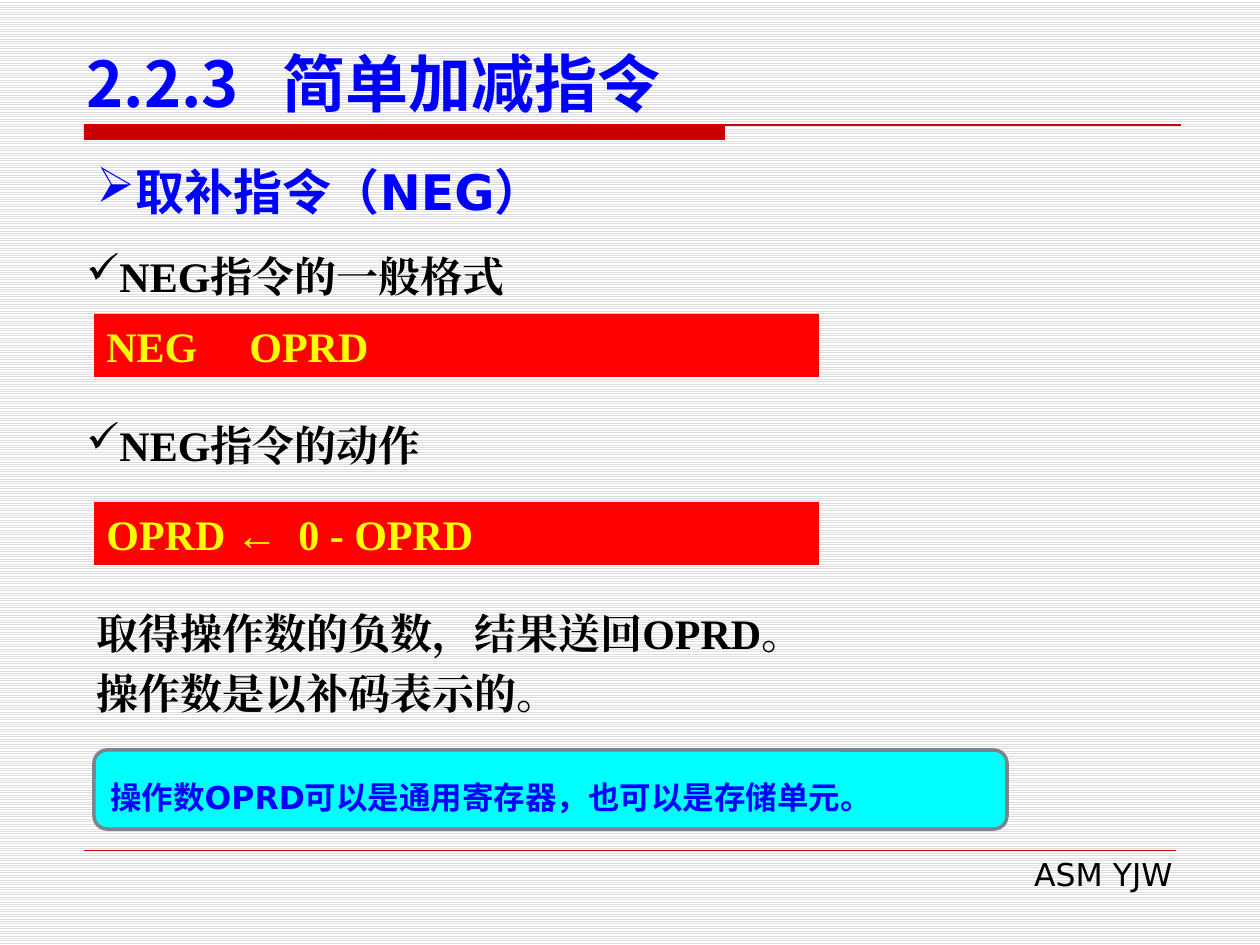
from lxml import etree
from pptx import Presentation
from pptx import util as u
from pptx.dml.color import RGBColor
from pptx.enum import dml, shapes, text
from pptx.oxml.ns import qn

PX = 914400 / 126
WIDTH, HEIGHT = 1260, 945
BLACK = RGBColor(0, 0, 0)
WHITE = RGBColor(0xFF, 0xFF, 0xFF)
STRIPE = RGBColor(0xDD, 0xDD, 0xDD)
CRIMSON = RGBColor(0xCC, 0, 0)
RED = RGBColor(0xFF, 0, 0)
YELLOW = RGBColor(0xFF, 0xFF, 0)
BLUE = RGBColor(0, 0, 0xFF)
CYAN = RGBColor(0, 0xFF, 0xFF)
GRAY = RGBColor(0x79, 0x84, 0x8F)
SANS, CJK, SERIF = "DejaVu Sans", "Noto Sans CJK SC", "Times New Roman"


def px(length):
    return u.Emu(round(length * PX))


class SlideBuilder:
    def __init__(self, slide):
        self.slide = slide

    def background(self):
        fill = self.slide.background.fill
        fill.patterned()
        fill.pattern = dml.MSO_PATTERN.LIGHT_HORIZONTAL
        fill.fore_color.rgb = STRIPE
        fill.back_color.rgb = WHITE

    def line(self, x1, x2, y, width):
        connector = self.slide.shapes.add_connector(
            shapes.MSO_CONNECTOR.STRAIGHT, px(x1), px(y), px(x2), px(y))
        connector.line.color.rgb = CRIMSON
        connector.line.width = u.Pt(width)
        etree.SubElement(connector._element.spPr, qn("a:effectLst"))

    def box(self, bounds, fill, outline=None,
            kind=shapes.MSO_SHAPE.RECTANGLE):
        shape = self.slide.shapes.add_shape(kind, *map(px, bounds))
        shape.shadow.inherit = False
        shape.fill.solid()
        shape.fill.fore_color.rgb = fill
        if outline:
            shape.line.color.rgb = outline
            shape.line.width = u.Pt(2)
        else:
            shape.line.fill.background()
        return shape

    def text_box(self, bounds, lines, size, **style):
        shape = self.slide.shapes.add_textbox(*map(px, bounds))
        self.set_text(shape, lines, size, **style)

    def set_text(self, shape, lines, size, font=SERIF, color=BLACK, bold=True,
                 align=text.PP_ALIGN.LEFT, anchor=text.MSO_ANCHOR.TOP,
                 bullet=None, tab=None, leading=None):
        frame = shape.text_frame
        frame.word_wrap = True
        frame.vertical_anchor = anchor
        frame.text = "\n".join(lines)
        for index, paragraph in enumerate(frame.paragraphs):
            paragraph.alignment = align
            if index:
                paragraph.space_before = u.Pt(5.5)
            if leading:
                paragraph.line_spacing = u.Pt(leading)
            properties = paragraph._p.get_or_add_pPr()
            if bullet:
                etree.SubElement(properties, qn("a:buChar"), char=bullet)
            if tab:
                tabs = etree.SubElement(properties, qn("a:tabLst"))
                etree.SubElement(tabs, qn("a:tab"), pos=str(px(tab)), algn="l")
            paragraph.font.name = font
            paragraph.font.size = u.Pt(size)
            paragraph.font.bold = bold
            paragraph.font.color.rgb = color
            # East Asian characters follow the same font
            latin = properties.find(qn("a:defRPr")).find(qn("a:latin"))
            latin.addnext(etree.Element(qn("a:ea"), typeface=font))


def main():
    presentation = Presentation()
    presentation.slide_width, presentation.slide_height = px(WIDTH), px(HEIGHT)
    slide = presentation.slides.add_slide(presentation.slide_layouts[6])
    builder = SlideBuilder(slide)
    builder.background()

    # Rules and footer
    builder.box((84, 125, 641, 15), CRIMSON)
    builder.line(84, 1181, 125, 0.75)
    builder.line(84, 1176, 850, 0.25)
    builder.text_box((481, 849, 704, 50), ["ASM YJW"], 18, font=SANS,
                     bold=False, align=text.PP_ALIGN.RIGHT)

    # Title and topic
    builder.text_box((74, 37, 1142, 89), ["2.2.3\t简单加减指令"], 36, font=CJK,
                     color=BLUE, anchor=text.MSO_ANCHOR.BOTTOM, tab=196)
    builder.text_box((84, 155, 1091, 72), ["取补指令（NEG）"], 28, font=SANS,
                     color=BLUE, align=text.PP_ALIGN.JUSTIFY, bullet="➢")

    # Headings, each with its code bar
    for heading, heading_top, code, code_top, tab in (
            ("NEG指令的一般格式", 244, "NEG\tOPRD", 314, 143),
            ("NEG指令的动作", 413, "OPRD ←\t0 - OPRD", 502, 192)):
        builder.text_box((74, heading_top, 1092, 63), [heading], 24,
                         bullet="✓")
        bar = builder.box((94, code_top, 725, 63), RED)
        builder.set_text(bar, [code], 24, color=YELLOW, tab=tab)

    # Explanation
    builder.text_box((84, 601, 1144, 125),
                     ["取得操作数的负数，结果送回OPRD。", "操作数是以补码表示的。"], 24)

    # Note on the operand
    note = builder.box((94, 750, 913, 79), CYAN, GRAY,
                       shapes.MSO_SHAPE.ROUNDED_RECTANGLE)
    builder.set_text(note, ["操作数OPRD可以是通用寄存器，也可以是存储单元。"], 18,
                     font=SANS, color=BLUE, anchor=text.MSO_ANCHOR.MIDDLE,
                     leading=30)

    presentation.save("out.pptx")


if __name__ == "__main__":
    main()
